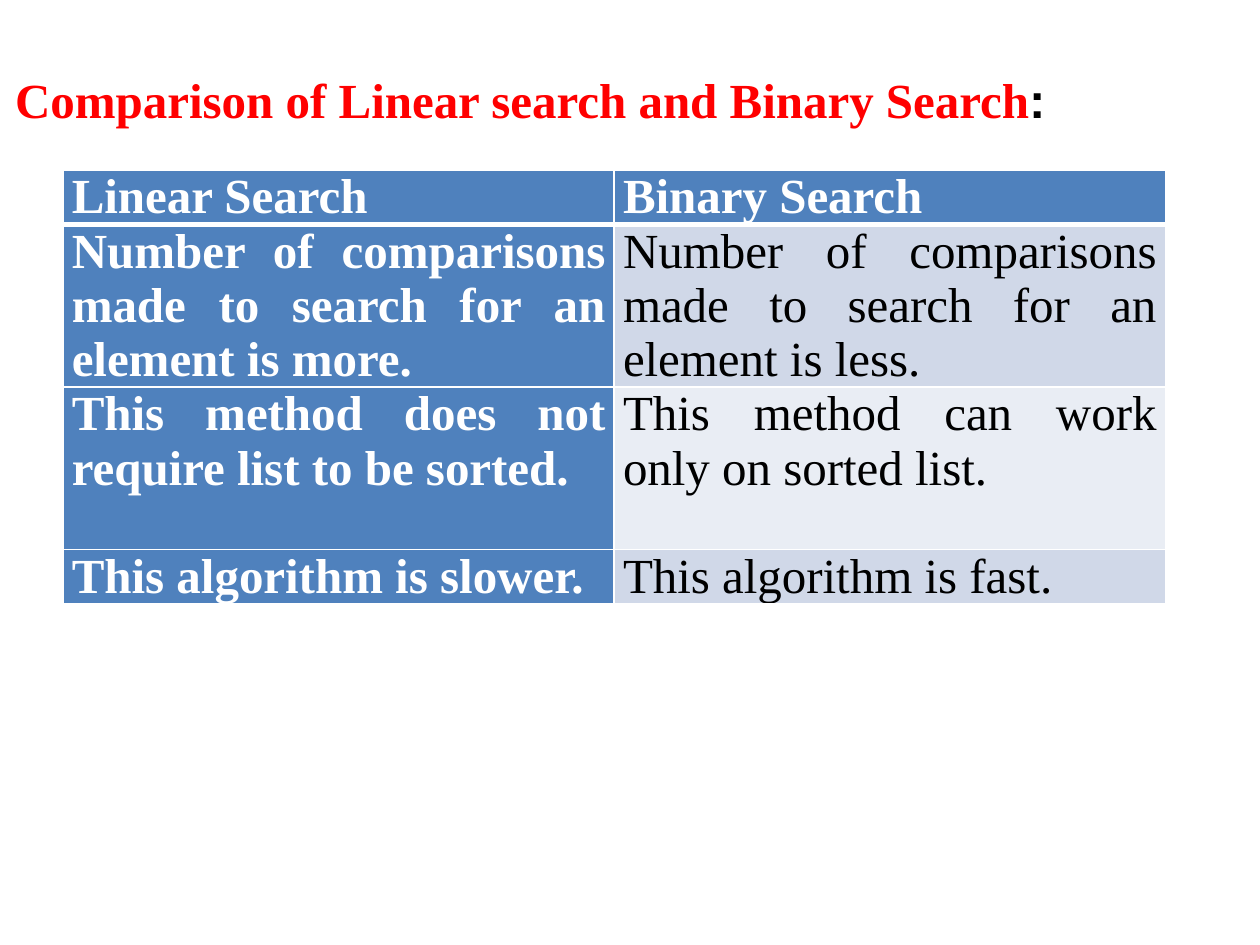
"""Build a slide that compares linear search with binary search in a table."""
from lxml import etree
from pptx import Presentation
from pptx.dml.color import RGBColor
from pptx.enum.text import MSO_ANCHOR, MSO_AUTO_SIZE, PP_ALIGN
from pptx.oxml.ns import qn
from pptx.util import Inches, Pt

LEFT, JUST = PP_ALIGN.LEFT, PP_ALIGN.JUSTIFY
TOP, FIXED = MSO_ANCHOR.TOP, MSO_AUTO_SIZE.NONE
WHITE = RGBColor(0xFF, 0xFF, 0xFF)
BLACK = RGBColor(0, 0, 0)
RED = RGBColor(0xFF, 0, 0)
BLUE = RGBColor(0x4F, 0x81, 0xBD)
BANDS = [RGBColor(0xE9, 0xED, 0xF4), RGBColor(0xD0, 0xD8, 0xE8)]
SERIF = "Times New Roman"

ROWS = [
    ("Linear Search", "Binary Search"),
    ("Number of comparisons made to search for an element is more.",
     "Number of comparisons made to search for an element is less."),
    ("This method does not require list to be sorted.",
     "This method can work only on sorted list."),
    ("This algorithm is slower.", "This algorithm is fast."),
]
LINES = [1, 3, 3, 1]
LINE = Inches(0.43)


def style(run, color, bold=True, name=SERIF):
    for key, value in {"size": Pt(28), "name": name, "bold": bold}.items():
        setattr(run.font, key, value)
    run.font.color.rgb = color


def edge(cell, side, width):
    props = cell._tc.get_or_add_tcPr()
    line = etree.SubElement(props, qn(f"a:ln{side}"), w=str(Pt(width)))
    fill = etree.SubElement(line, qn("a:solidFill"))
    etree.SubElement(fill, qn("a:srgbClr"), val=str(WHITE))


prs = Presentation()
prs.slide_width, prs.slide_height = Inches(10), Inches(7.5)
slide = prs.slides.add_slide(prs.slide_layouts[5])

title = slide.shapes.title
place = {"left": 0.02, "top": 0.48, "width": 9.23, "height": 0.88}
for key, value in place.items():
    setattr(title, key, Inches(value))
frame = title.text_frame
look = {"word_wrap": True, "auto_size": FIXED, "vertical_anchor": TOP,
        "margin_top": Inches(0.07)}
for key, value in look.items():
    setattr(frame, key, value)
head = frame.paragraphs[0]
head.alignment = LEFT
for text, color, name in [
    ("Comparison of Linear search and Binary Search", RED, SERIF),
    (":", BLACK, "Arial"),
]:
    run = head.add_run()
    run.text = text
    style(run, color, name=name)

grid = slide.shapes.add_table(
    len(ROWS), 2, Inches(0.5), Inches(1.35), Inches(8.75), LINE * sum(LINES)
).table
grid.first_col = True
pads = {"margin_left": Inches(0.07), "margin_right": Inches(0.07),
        "margin_top": 0, "margin_bottom": 0}
for r, texts in enumerate(ROWS):
    grid.rows[r].height = LINE * LINES[r]
    for c, text in enumerate(texts):
        cell = grid.cell(r, c)
        for key, value in pads.items():
            setattr(cell, key, value)
        strong = r == 0 or c == 0
        for side in "LRTB":
            thick = (r, side) in [(0, "B"), (1, "T")]
            edge(cell, side, 3 if thick else 1)
        cell.fill.solid()
        cell.fill.fore_color.rgb = BLUE if strong else BANDS[r % 2]
        para = cell.text_frame.paragraphs[0]
        para.alignment = JUST
        run = para.add_run()
        run.text = text
        style(run, WHITE if strong else BLACK, strong)

prs.save("out.pptx")
